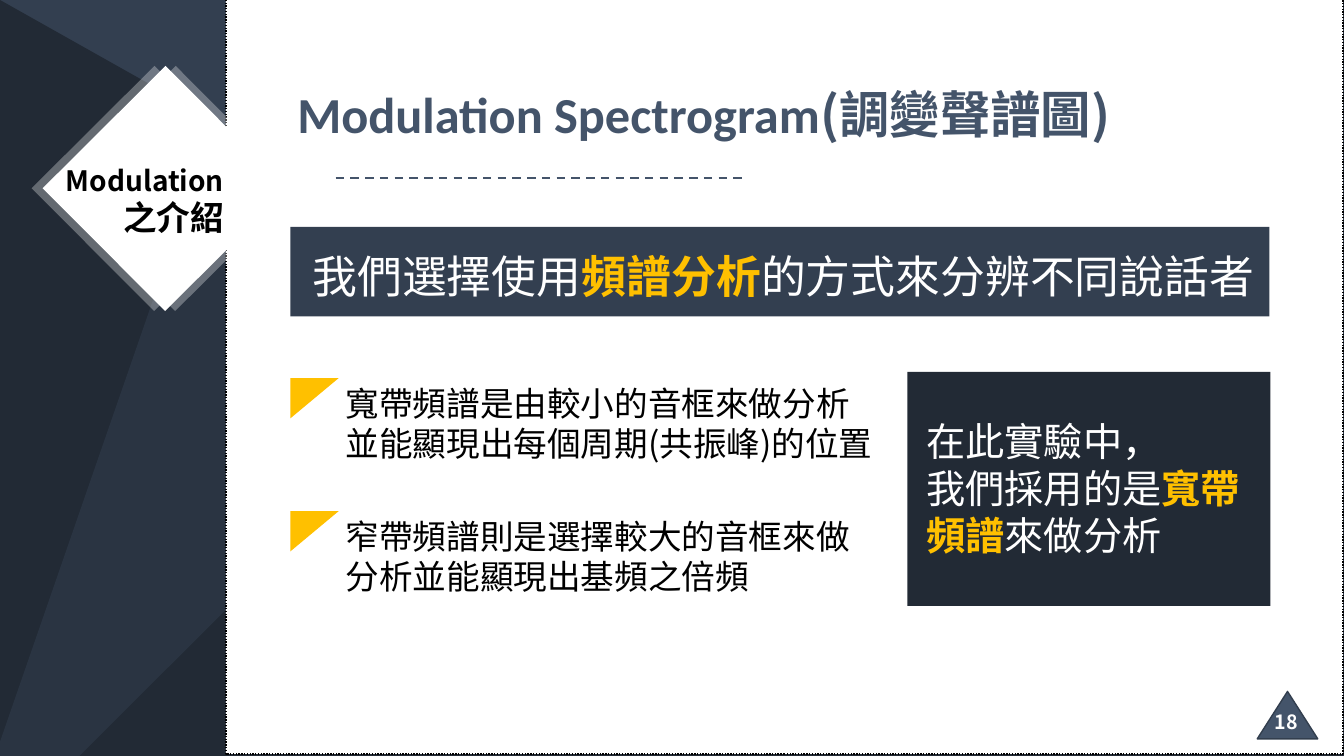
"""Build the slide on the modulation spectrogram."""
from dataclasses import dataclass
from typing import Optional

from lxml.etree import SubElement
from pptx import Presentation
from pptx.dml.color import RGBColor as Rgb
from pptx.enum.dml import MSO_LINE as Dash
from pptx.enum.shapes import MSO_CONNECTOR as Conn, MSO_SHAPE as Kind
from pptx.enum.text import MSO_AUTO_SIZE as Auto, PP_ALIGN as Align
from pptx.oxml.ns import qn
from pptx.util import Pt

PX = 9144
SANS = "Noto Sans CJK SC"
HEX = {
    "night": "222A35", "navy": "333F50", "slate": "44546A", "edge": "323E4E",
    "gold": "FFC000", "white": "FFFFFF", "black": "000000",
}


@dataclass(frozen=True)
class Form:
    kind: Kind
    box: tuple[int, int, int, int]
    fill: str
    alpha: int = 100
    turn: float = 0
    tip: Optional[float] = None
    line: Optional[str] = None
    dash: Optional[Dash] = None


@dataclass(frozen=True)
class Run:
    text: str
    gold: bool = False
    face: Optional[str] = None


@dataclass(frozen=True)
class Para:
    runs: tuple[Run, ...]
    size: int


@dataclass(frozen=True)
class Label:
    box: tuple[int, int, int, int]
    paras: tuple[Para, ...]
    hue: str = "black"
    bold: bool = False
    face: str = SANS
    align: Align = Align.LEFT


def hue(name: str) -> Rgb:
    return Rgb.from_string(HEX[name])


def scale(box: tuple[int, ...]) -> list[int]:
    return [side * PX for side in box]


def draw(page, form: Form) -> None:
    shape = page.shapes.add_shape(form.kind, *scale(form.box))
    shape.shadow.inherit = False
    shape.rotation = form.turn
    if form.tip is not None:
        shape.adjustments[0] = form.tip
    shape.fill.solid()
    shape.fill.fore_color.rgb = hue(form.fill)
    if form.alpha < 100:
        paint = shape._element.spPr.find(qn("a:solidFill"))[0]
        SubElement(paint, qn("a:alpha"), val=str(form.alpha * 1000))
    if form.line is None:
        shape.line.fill.background()
        return
    shape.line.color.rgb = hue(form.line)
    shape.line.width = Pt(1)
    if form.dash is not None:
        shape.line.dash_style = form.dash


def face(font, name: str) -> None:
    font.name = name
    SubElement(font._element, qn("a:ea"), typeface=SANS)


def write(page, label: Label) -> None:
    frame = page.shapes.add_textbox(*scale(label.box)).text_frame
    frame.word_wrap = True
    frame.auto_size = Auto.SHAPE_TO_FIT_TEXT
    for i, para in enumerate(label.paras):
        line = frame.add_paragraph() if i else frame.paragraphs[0]
        line.alignment = label.align
        line.font.size = Pt(para.size)
        line.font.bold = label.bold
        line.font.color.rgb = hue(label.hue)
        face(line.font, label.face)
        for part in para.runs:
            run = line.add_run()
            run.text = part.text
            if part.gold:
                run.font.bold = True
                run.font.color.rgb = hue("gold")
            if part.face:
                face(run.font, part.face)


def rule(page, left: int, right: int, top: int) -> None:
    line = page.shapes.add_connector(Conn.STRAIGHT, *scale((left, top, right, top)))
    line.line.color.rgb = hue("slate")
    line.line.width = Pt(1.5)
    line.line.dash_style = Dash.DASH
    SubElement(line._element.spPr, qn("a:effectLst"))


POINTS = (
    (375, "寬帶頻譜是由較小的音框來做分析並能顯現出每個周期(共振峰)的位置", 91),
    (507, "窄帶頻譜則是選擇較大的音框來做分析並能顯現出基頻之倍頻", 125),
)
FORMS = (
    Form(Kind.ISOSCELES_TRIANGLE, (0, 0, 1333, 750), "night", tip=0),
    Form(Kind.PARALLELOGRAM, (-71, 168, 1474, 413), "night", 50, 346.3),
    Form(Kind.ISOSCELES_TRIANGLE, (118, -116, 541, 1113), "navy", 50, 199.1, 1),
    Form(Kind.RECTANGLE, (224, -2, 1108, 750), "white", line="black",
         dash=Dash.ROUND_DOT),
    *(Form(Kind.RECTANGLE, (left, 101, 172, 172), "white", alpha, 45.1)
      for left, alpha in ((88, 30), (67, 30), (78, 100))),
    Form(Kind.RECTANGLE, (288, 225, 971, 89), "navy"),
    *(Form(Kind.ISOSCELES_TRIANGLE, (288, top, 48, 40), "gold", turn=180, tip=1)
      for top, _, _ in POINTS),
    Form(Kind.RECTANGLE, (900, 369, 360, 232), "night"),
    Form(Kind.ISOSCELES_TRIANGLE, (1247, 686, 60, 47), "slate", line="edge"),
)
LABELS = (
    Label((-10, 157, 242, 84),
          (Para((Run("Modulation"),), 20), Para((Run("之介紹"),), 24)),
          bold=True, align=Align.RIGHT),
    Label((285, 78, 865, 71),
          (Para((Run("Modulation Spectrogram"), Run("(調變聲譜圖)", face=SANS)), 36),),
          "slate", True, "Calibri"),
    Label((300, 242, 959, 64),
          (Para((Run("我們選擇使用"), Run("頻譜分析", True),
                 Run("的方式來分辨不同說話者")), 32),), "white"),
    *(Label((333, top, 547, high), (Para((Run(text),), 24),))
      for top, text, high in POINTS),
    Label((909, 409, 362, 151),
          (Para((Run("在此實驗中，"),), 28),
           Para((Run("我們採用的是"), Run("寬帶頻譜", True), Run("來做分析")), 28)),
          "white"),
    Label((1248, 699, 55, 34), (Para((Run("18"),), 14),), "white", True,
          align=Align.CENTER),
)


def main() -> None:
    deck = Presentation()
    deck.slide_width, deck.slide_height = scale((1333, 750))
    page = deck.slides.add_slide(deck.slide_layouts[6])
    page.background.fill.solid()
    page.background.fill.fore_color.rgb = hue("navy")
    for form in FORMS:
        draw(page, form)
    rule(page, 333, 739, 177)
    for label in LABELS:
        write(page, label)
    deck.save("out.pptx")


if __name__ == "__main__":
    main()
